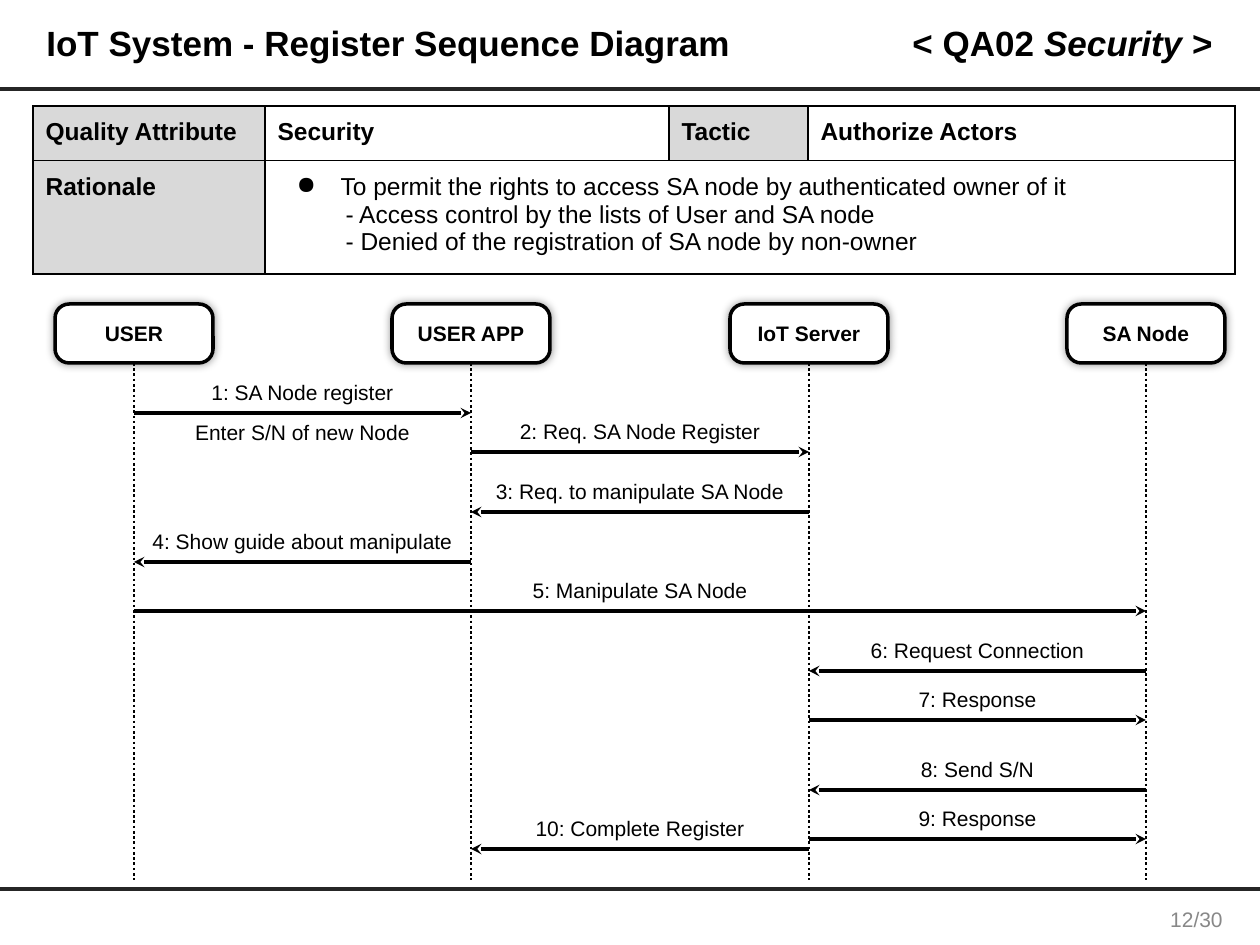
from dataclasses import dataclass

from lxml import etree
from pptx import Presentation, util as u
from pptx.dml.color import RGBColor
from pptx.enum import dml, shapes, text
from pptx.oxml import parse_xml
from pptx.oxml.ns import nsdecls, qn

ALIGN = text.PP_ALIGN
MID = text.MSO_ANCHOR.MIDDLE


@dataclass(frozen=True)
class Theme:
    font: str = "Arial"
    ink: str = "000000"
    rule: str = "262626"
    paper: str = "FFFFFF"
    head: str = "D9D9D9"
    faint: str = "888888"
    title: int = 20
    cell: int = 14
    small: int = 12


@dataclass(frozen=True)
class Message:
    label: str
    start: int
    end: int
    y: int


T = Theme()
BASE = 880
ACTORS = ["USER", "USER APP", "IoT Server", "SA Node"]
LANES = [134 + i * 675 // 2 for i in range(len(ACTORS))]
MESSAGES = [
    Message("1: SA Node register", 0, 1, 413),
    Message("2: Req. SA Node Register", 1, 2, 452),
    Message("3: Req. to manipulate SA Node", 2, 1, 512),
    Message("4: Show guide about manipulate", 1, 0, 562),
    Message("5: Manipulate SA Node", 0, 3, 611),
    Message("6: Request Connection", 3, 2, 671),
    Message("7: Response", 2, 3, 720),
    Message("8: Send S/N", 3, 2, 790),
    Message("9: Response", 2, 3, 839),
    Message("10: Complete Register", 2, 1, 849),
]
WIDTHS = [232, 404, 139, 427]
HEIGHTS = [52, 108]
HEADS = ["Quality Attribute", "Security", "Tactic", "Authorize Actors"]
REASONS = [
    "To permit the rights to access SA node by authenticated owner of it",
    "- Access control by the lists of User and SA node",
    "- Denied of the registration of SA node by non-owner",
]


def px(n: int) -> int:
    """Turn pixels into EMU."""
    return u.Emu(round(n * 914400 / 126))


def rgb(code: str) -> RGBColor:
    """Turn a hex code into a colour."""
    return RGBColor.from_string(code)


def write(frame, *lines: str, size=T.small, bold=False, color=T.ink,
          align=ALIGN.LEFT, space=None) -> None:
    """Fill a text frame, with the parts between stars in italics."""
    for i, line in enumerate(lines):
        para = frame.add_paragraph() if i else frame.paragraphs[0]
        para.alignment = align
        para.line_spacing = space
        for j, part in enumerate(line.split("*")):
            run = para.add_run()
            run.text = part
            font = run.font
            font.name, font.size = T.font, u.Pt(size)
            font.bold, font.italic = bold, j % 2 == 1
            font.color.rgb = rgb(color)


def label(slide, x: int, y: int, w: int, h: int, words: str,
          anchor=text.MSO_ANCHOR.TOP, **form) -> None:
    """Add a text box."""
    frame = slide.shapes.add_textbox(px(x), px(y), px(w), px(h)).text_frame
    frame.word_wrap = True
    frame.vertical_anchor = anchor
    write(frame, words, **form)


def link(slide, x: int, y: int, right: int, low: int, width: float, color=T.ink):
    """Add a straight line without a shadow."""
    line = slide.shapes.add_connector(
        shapes.MSO_CONNECTOR.STRAIGHT, px(x), px(y), px(right), px(low))
    line.line.width = u.Pt(width)
    line.line.color.rgb = rgb(color)
    etree.SubElement(line._element.spPr, qn("a:effectLst"))
    return line


def actor(slide, name: str, x: int) -> None:
    """Add an actor box with its lifeline."""
    box = slide.shapes.add_shape(
        shapes.MSO_SHAPE.ROUNDED_RECTANGLE, px(x - 79), px(304), px(158), px(59))
    box.adjustments[0] = 0.24
    box.fill.solid()
    box.fill.fore_color.rgb = rgb(T.paper)
    box.line.color.rgb = rgb(T.ink)
    box.line.width = u.Pt(2)
    box._element.spPr.append(parse_xml(
        f'<a:effectLst {nsdecls("a")}><a:outerShdw blurRad="{u.Pt(5)}">'
        f'<a:srgbClr val="{T.ink}"><a:alpha val="40000"/></a:srgbClr>'
        '</a:outerShdw></a:effectLst>'))
    box.text_frame.vertical_anchor = MID
    write(box.text_frame, name, bold=True, align=ALIGN.CENTER)
    life = link(slide, x, 363, x, BASE, 1.5)
    life.line.dash_style = dml.MSO_LINE.ROUND_DOT
    life.begin_connect(box, 2)


def send(slide, note: Message) -> None:
    """Add a message arrow with its label."""
    start, end = LANES[note.start], LANES[note.end]
    line = link(slide, start, note.y, end, note.y, 2)
    etree.SubElement(line.line._get_or_add_ln(), qn("a:tailEnd"), type="stealth")
    label(slide, min(start, end), note.y - 40, abs(end - start), 38,
          note.label, align=ALIGN.CENTER)


def style(cell, fill: str) -> None:
    """Set the margins, borders and fill of a cell."""
    cell.margin_left = cell.margin_right = u.Inches(0.1)
    cell.margin_top = cell.margin_bottom = u.Inches(0.1)
    props = cell._tc.get_or_add_tcPr()
    for side in "LRTB":
        props.append(parse_xml(
            f'<a:ln{side} {nsdecls("a")} w="{u.Pt(1)}"><a:solidFill>'
            f'<a:srgbClr val="{T.ink}"/></a:solidFill></a:ln{side}>'))
    cell.fill.solid()
    cell.fill.fore_color.rgb = rgb(fill)


def grid(slide) -> None:
    """Add the quality attribute table."""
    table = slide.shapes.add_table(
        2, 4, px(33), px(106), px(sum(WIDTHS)), px(sum(HEIGHTS))).table
    table.first_row = table.horz_banding = False
    for col, width in zip(table.columns, WIDTHS):
        col.width = px(width)
    for i, height in enumerate(HEIGHTS):
        table.rows[i].height = px(height)
        for j in range(len(WIDTHS)):
            gray = j == 0 or (i == 0 and j == 2)
            style(table.cell(i, j), T.head if gray else T.paper)
    for j, name in enumerate(HEADS):
        write(table.cell(0, j).text_frame, name, size=T.cell, bold=True)
    write(table.cell(1, 0).text_frame, "Rationale", size=T.cell, bold=True)
    body = table.cell(1, 1)
    body.merge(table.cell(1, 3))
    write(body.text_frame, *REASONS, size=T.cell)
    first, *rest = [p._p.get_or_add_pPr() for p in body.text_frame.paragraphs]
    first.set("marL", str(px(63)))
    first.set("indent", str(px(-44)))
    etree.SubElement(first, qn("a:buChar"), char="●")
    for props in rest:
        props.set("marL", str(px(68)))
        props.set("indent", "0")


def main() -> None:
    """Build the slide and save it."""
    deck = Presentation()
    deck.slide_width, deck.slide_height = px(1260), px(945)
    slide = deck.slides.add_slide(deck.slide_layouts[6])
    for y in (89, 889):
        link(slide, 0, y, 1260, y, 1.75, T.rule)
    head = dict(anchor=MID, size=T.title, bold=True, space=0.9)
    label(slide, 34, 12, 840, 67, "IoT System - Register Sequence Diagram", **head)
    label(slide, 887, 12, 338, 67, "< QA02 *Security *>", align=ALIGN.RIGHT, **head)
    grid(slide)
    label(slide, 1148, 900, 97, 39, "12/30", anchor=MID,
          color=T.faint, align=ALIGN.CENTER)
    for name, x in zip(ACTORS, LANES):
        actor(slide, name, x)
    for note in MESSAGES:
        send(slide, note)
    label(slide, LANES[0], 413, LANES[1] - LANES[0], 38,
          "Enter S/N of new Node", align=ALIGN.CENTER)
    deck.save("out.pptx")


if __name__ == "__main__":
    main()
